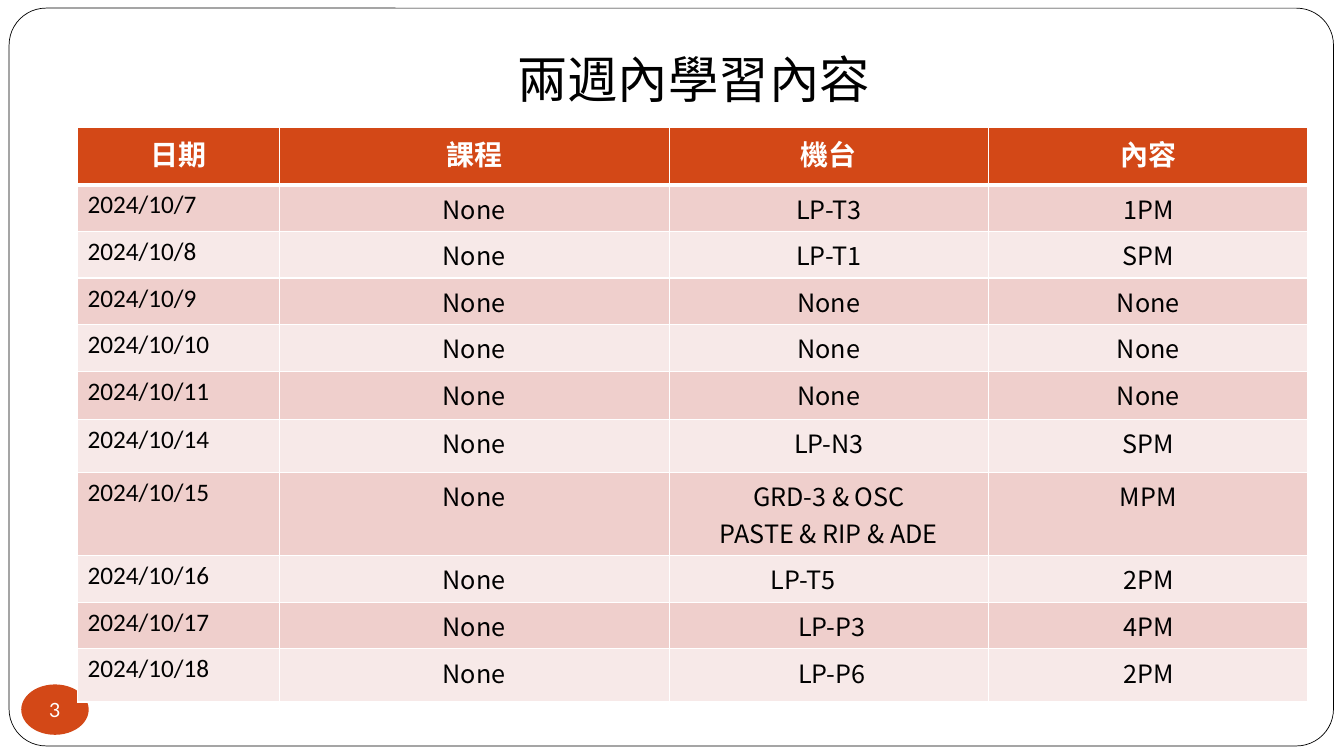
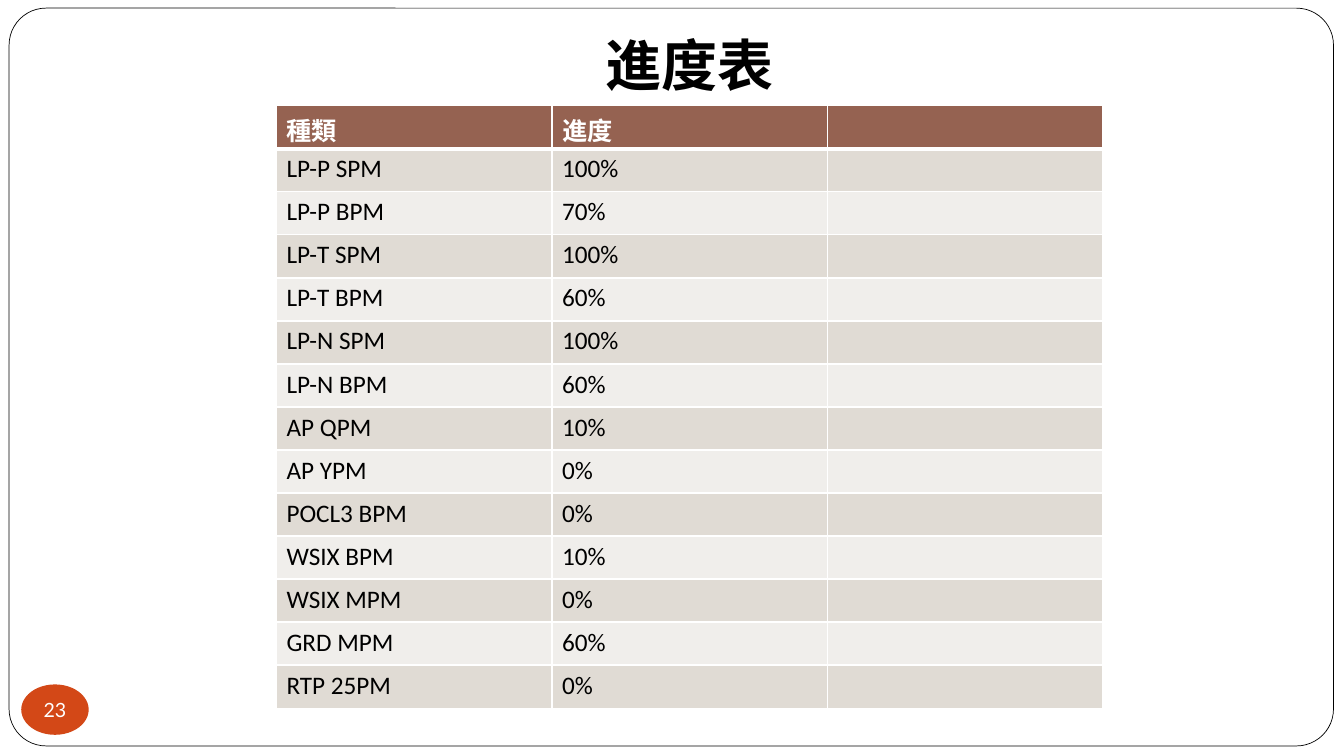
"""Builds a two-slide training report: the study log and the progress table."""
import pptx
import pptx.dml.color
import pptx.enum.shapes
import pptx.enum.text
import pptx.oxml
import pptx.oxml.ns
import pptx.util

Pt = pptx.util.Pt
ALIGN = pptx.enum.text.PP_ALIGN
ANCHOR = pptx.enum.text.MSO_ANCHOR
SHAPE = pptx.enum.shapes.MSO_SHAPE

THEME = {
    "white": "FFFFFF",
    "black": "000000",
    "accent": "D34817",
    "latin": "Calibri",
    "cjk": "Noto Sans CJK SC",
    "number": "Lato",
    "number_size": 14,
    "body_size": 18,
    "margin": 7.2,
}

STUDY_LOG = {
    "number": "3",
    "title": "兩週內學習內容",
    "title_box": (142.6, 30.3, 705.6, 51),
    "title_size": 36,
    "title_bold": False,
    "origin": (55.4, 91),
    "columns": (144, 278.6, 228.2, 228.2),
    "heights": (41, 33.3, 33.3, 33.3, 33.3, 34.5, 38, 59.3, 33.3, 33.3, 38),
    "header_size": 20,
    "fills": ("D34817", "EFCFCC", "F7E9E8"),
    "fonts": (THEME["latin"],) + (THEME["cjk"],) * 3,
    "aligns": (ALIGN.LEFT,) + (ALIGN.CENTER,) * 3,
    "header_align": ALIGN.CENTER,
    "shifts": {"LP-T5": -18.5, "LP-P3": 2, "LP-P6": 2},
    "rows": [
        ("日期", "課程", "機台", "內容"),
        ("2024/10/7", "None", "LP-T3", "1PM"),
        ("2024/10/8", "None", "LP-T1", "SPM"),
        ("2024/10/9", "None", "None", "None"),
        ("2024/10/10", "None", "None", "None"),
        ("2024/10/11", "None", "None", "None"),
        ("2024/10/14", "None", "LP-N3", "SPM"),
        ("2024/10/15", "None", "GRD-3 & OSC\nPASTE & RIP & ADE", "MPM"),
        ("2024/10/16", "None", "LP-T5", "2PM"),
        ("2024/10/17", "None", "LP-P3", "4PM"),
        ("2024/10/18", "None", "LP-P6", "2PM"),
    ],
}

PROGRESS = {
    "number": "23",
    "title": "進度表",
    "title_box": (185, 18, 615.6, 55.4),
    "title_size": 40,
    "title_bold": True,
    "origin": (197.5, 75.6),
    "columns": (196.8,) * 3,
    "heights": (30.75,) * 14,
    "header_size": 18,
    "fills": ("956251", "E0DBD4", "F0EEEB"),
    "fonts": (THEME["latin"],) * 3,
    "aligns": (ALIGN.LEFT,) * 3,
    "header_align": ALIGN.LEFT,
    "shifts": {},
    "rows": [
        ("種類", "進度", ""),
        ("LP-P SPM", "100%", ""),
        ("LP-P BPM", "70%", ""),
        ("LP-T SPM", "100%", ""),
        ("LP-T BPM", "60%", ""),
        ("LP-N SPM", "100%", ""),
        ("LP-N BPM", "60%", ""),
        ("AP QPM", "10%", ""),
        ("AP YPM", "0%", ""),
        ("POCL3 BPM", "0%", ""),
        ("WSIX BPM", "10%", ""),
        ("WSIX MPM", "0%", ""),
        ("GRD MPM", "60%", ""),
        ("RTP 25PM", "0%", ""),
    ],
}


def rgb(value):
    return pptx.dml.color.RGBColor.from_string(value)


def paint(target, color):
    target.fill.solid()
    target.fill.fore_color.rgb = rgb(color)


def write(paragraph, text, size, font, color, bold=False, align=ALIGN.CENTER):
    paragraph.alignment = align
    for index, line in enumerate(text.split("\n")):
        if index:
            paragraph.add_line_break()
        run = paragraph.add_run()
        run.text = line
        run.font.size = Pt(size)
        run.font.bold = bold
        run.font.name = font
        run.font.color.rgb = rgb(color)
        east_asian = pptx.oxml.parse_xml(
            f'<a:ea {pptx.oxml.ns.nsdecls("a")} typeface="{THEME["cjk"]}"/>')
        run.font._rPr.find(pptx.oxml.ns.qn("a:latin")).addnext(east_asian)


def add_plain_shape(slide, kind, box, color):
    shape = slide.shapes.add_shape(kind, *map(Pt, box))
    shape.shadow.inherit = False
    paint(shape, color)
    return shape


def clear_margins(frame):
    frame.margin_left = frame.margin_right = 0
    frame.margin_top = frame.margin_bottom = 0


def add_frame(slide, number):
    border = add_plain_shape(slide, SHAPE.ROUNDED_RECTANGLE,
                             (6.5, 5.8, 946, 527), THEME["white"])
    border.adjustments[0] = 0.05
    border.line.color.rgb = rgb(THEME["black"])
    border.line.width = Pt(0.5)
    badge = add_plain_shape(slide, SHAPE.OVAL, (15.2, 488.9, 48.2, 36), THEME["accent"])
    badge.line.fill.background()
    frame = badge.text_frame
    clear_margins(frame)
    frame.word_wrap = False
    frame.vertical_anchor = ANCHOR.MIDDLE
    write(frame.paragraphs[0], number, THEME["number_size"],
          THEME["number"], THEME["white"])


def add_title(slide, content):
    frame = slide.shapes.add_textbox(*map(Pt, content["title_box"])).text_frame
    clear_margins(frame)
    frame.word_wrap = True
    frame.vertical_anchor = ANCHOR.MIDDLE
    write(frame.paragraphs[0], content["title"], content["title_size"],
          THEME["cjk"], THEME["black"], content["title_bold"])


def add_borders(cell, widths):
    properties = cell._tc.get_or_add_tcPr()
    for side, width in widths.items():
        properties.append(pptx.oxml.parse_xml(
            f'<a:ln{side} {pptx.oxml.ns.nsdecls("a")} w="{Pt(width)}">'
            f'<a:solidFill><a:srgbClr val="{THEME["white"]}"/></a:solidFill>'
            f'</a:ln{side}>'))


def add_grid(slide, content):
    rows, widths, heights = content["rows"], content["columns"], content["heights"]
    size = (sum(widths), sum(heights))
    grid = slide.shapes.add_table(len(rows), len(widths),
                                  *map(Pt, content["origin"] + size)).table
    for column, width in zip(grid.columns, widths):
        column.width = Pt(width)
    header_fill, *bands = content["fills"]
    for r, row in enumerate(rows):
        grid.rows[r].height = Pt(heights[r])
        header = r == 0
        for c, text in enumerate(row):
            cell = grid.cell(r, c)
            add_borders(cell, {"L": 1, "R": 1, "T": 3 if r == 1 else 1,
                               "B": 3 if header else 1})
            paint(cell, header_fill if header else bands[(r - 1) % 2])
            shift = content["shifts"].get(text, 0)
            cell.margin_left = Pt(THEME["margin"] + 2 * max(shift, 0))
            cell.margin_right = Pt(THEME["margin"] + 2 * max(-shift, 0))
            cell.margin_bottom = 0
            if text:
                write(cell.text_frame.paragraphs[0], text,
                      content["header_size"] if header else THEME["body_size"],
                      THEME["latin"] if header else content["fonts"][c],
                      THEME["white"] if header else THEME["black"], header,
                      content["header_align"] if header else content["aligns"][c])


def main():
    deck = pptx.Presentation()
    deck.slide_width, deck.slide_height = Pt(960), Pt(540)
    for content in (STUDY_LOG, PROGRESS):
        slide = deck.slides.add_slide(deck.slide_layouts[6])
        add_frame(slide, content["number"])
        add_grid(slide, content)
        add_title(slide, content)
    deck.save("out.pptx")


if __name__ == "__main__":
    main()
